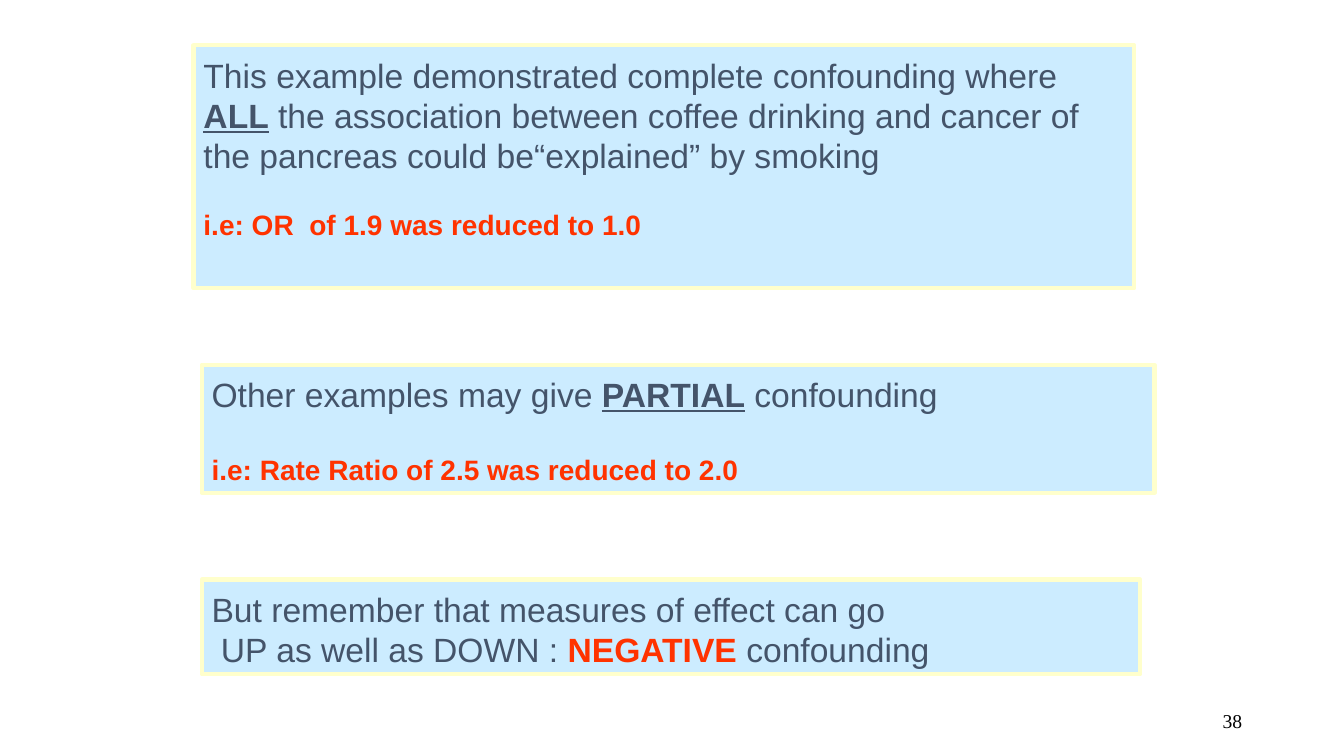
from dataclasses import dataclass

from pptx import Presentation
from pptx.dml.color import RGBColor
from pptx.enum import shapes, text
from pptx.util import Inches, Pt

SLATE, RED, BLACK = "44546A", "FF3300", "000000"
SKY, CREAM = "CCECFF", "FFFFCC"

BODY = dict(name="Arial", size=Pt(24), bold=False, underline=False, color=SLATE)
KEY = BODY | dict(bold=True, underline=True)
ALERT = BODY | dict(bold=True, color=RED)
RESULT = ALERT | dict(size=Pt(20))
NUMBER = BODY | dict(name="Times New Roman", size=Pt(14), color=BLACK)


@dataclass
class Para:
    runs: list[tuple[str, dict]]
    before: float = 0


@dataclass
class Box:
    left: float
    top: float
    width: float
    height: float
    paras: list[Para]


BOXES = [
    Box(1.92, 0.45, 9.33, 2.41, [
        Para([("This example demonstrated complete confounding where ", BODY),
              ("ALL", KEY),
              (" the association between coffee drinking and cancer of the pancreas "
               "could be“explained” by smoking", BODY)]),
        Para([("i.e: OR  of 1.9 was reduced to 1.0", RESULT)], 23),
    ]),
    Box(2, 3.62, 9.45, 1.27, [
        Para([("Other examples may give ", BODY), ("PARTIAL", KEY), (" confounding", BODY)]),
        Para([("i.e: Rate Ratio of 2.5 was reduced to 2.0", RESULT)], 27),
    ]),
    Box(2, 5.75, 9.31, 0.94, [
        Para([("But remember that measures of effect can go", BODY)]),
        Para([(" UP as well as DOWN : ", BODY), ("NEGATIVE", ALERT), (" confounding", BODY)]),
    ]),
]
PAGE = Box(9.42, 6.95, 3, 0.4, [Para([("38", NUMBER)])])


def rgb(value: str) -> RGBColor:
    return RGBColor.from_string(value)


def frame(box: Box) -> tuple:
    return tuple(Inches(v) for v in (box.left, box.top, box.width, box.height))


def write(tf, paras: list[Para], align, anchor) -> None:
    tf.word_wrap = True
    tf.vertical_anchor = anchor
    for i, para in enumerate(paras):
        p = tf.add_paragraph() if i else tf.paragraphs[0]
        p.alignment = align
        p.space_before = Pt(para.before)
        for words, style in para.runs:
            r = p.add_run()
            r.text = words
            for key, value in style.items():
                if key == "color":
                    r.font.color.rgb = rgb(value)
                else:
                    setattr(r.font, key, value)


def add_box(s, box: Box) -> None:
    sp = s.shapes.add_shape(shapes.MSO_SHAPE.RECTANGLE, *frame(box))
    sp.shadow.inherit = False
    sp.fill.solid()
    sp.fill.fore_color.rgb = rgb(SKY)
    sp.line.color.rgb = rgb(CREAM)
    sp.line.width = Pt(3)
    sp.text_frame.margin_top = Inches(0.09)
    write(sp.text_frame, box.paras, text.PP_ALIGN.LEFT, text.MSO_ANCHOR.TOP)


def add_page_number(s, box: Box) -> None:
    sp = s.shapes.add_textbox(*frame(box))
    write(sp.text_frame, box.paras, text.PP_ALIGN.RIGHT, text.MSO_ANCHOR.MIDDLE)


prs = Presentation()
prs.slide_width, prs.slide_height = Inches(13.33), Inches(7.5)
s = prs.slides.add_slide(prs.slide_layouts[6])
add_page_number(s, PAGE)
for box in BOXES:
    add_box(s, box)
prs.save("out.pptx")
